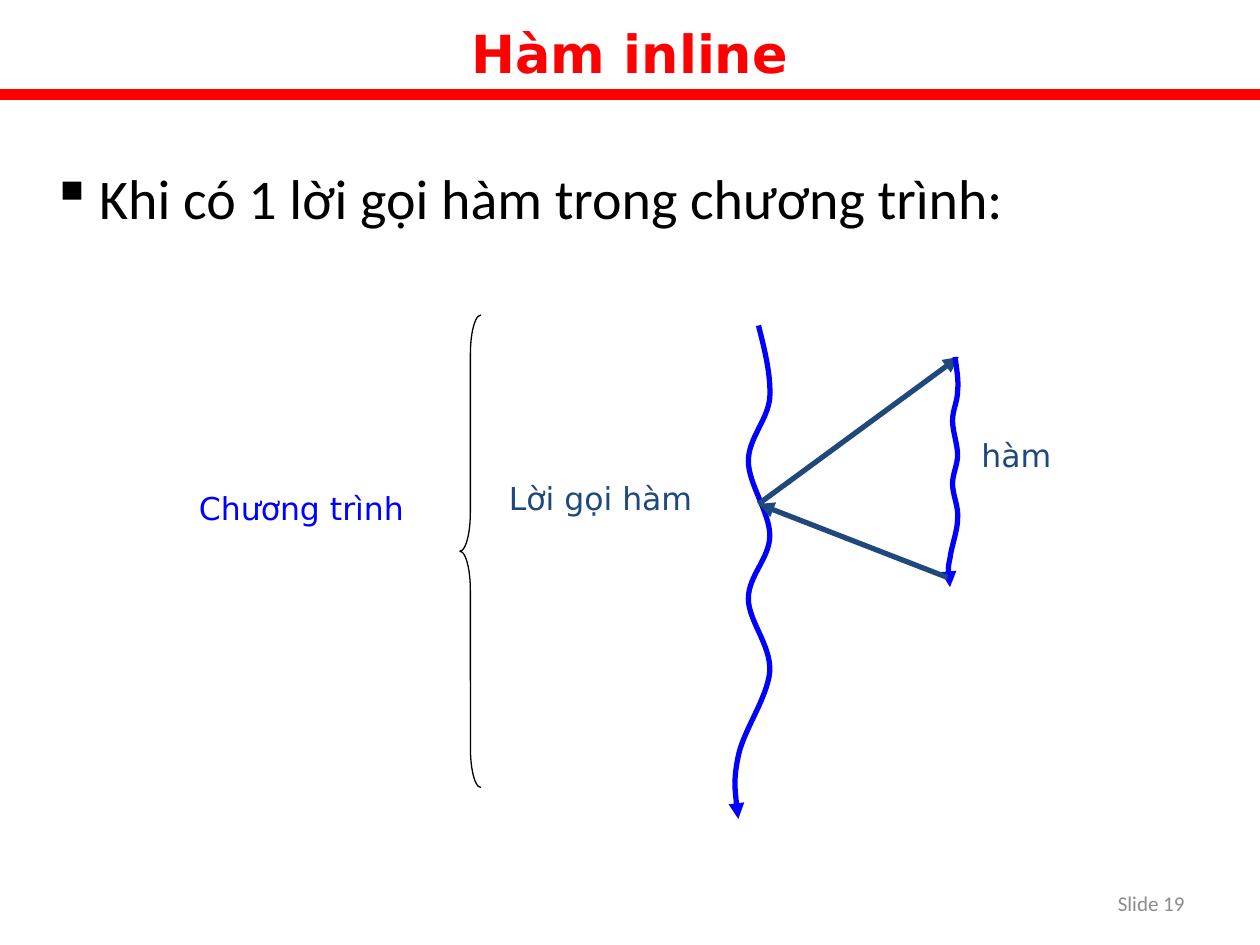
from dataclasses import dataclass

from lxml import etree
from pptx import Presentation
from pptx.dml.color import RGBColor
from pptx.enum.shapes import MSO_CONNECTOR, MSO_SHAPE
from pptx.enum.text import MSO_ANCHOR, MSO_AUTO_SIZE, PP_ALIGN
from pptx.oxml.ns import qn
from pptx.util import Inches, Pt

STRAIGHT = MSO_CONNECTOR.STRAIGHT
LEFT_BRACE = MSO_SHAPE.LEFT_BRACE
TOP, MIDDLE = MSO_ANCHOR.TOP, MSO_ANCHOR.MIDDLE
CENTER, RIGHT = PP_ALIGN.CENTER, PP_ALIGN.RIGHT
FIT_SHAPE = MSO_AUTO_SIZE.SHAPE_TO_FIT_TEXT

SLIDE_W, SLIDE_H = Inches(10), Inches(7.5)
COL, ROW = SLIDE_W / 120, SLIDE_H / 90

COLORS = {
    "title": "FF0000",
    "body": "000000",
    "flow": "0000FF",
    "call": "1F497D",
    "number": "8C8C8C",
}

TITLE_FONT = {"name": "DejaVu Sans", "size": Pt(30), "bold": True}
BODY_FONT = {"name": "Calibri", "size": Pt(32)}
LABEL_FONT = {"name": "DejaVu Sans", "size": Pt(18)}
NUMBER_FONT = {"name": "Calibri", "size": Pt(12)}

PROGRAM_FLOW = [
    (55.24, 1),
    (55.84, 3.36), (56.44, 5.76), (56.32, 7.92),
    (56.08, 10.08), (54.28, 11.76), (54.28, 13.92),
    (54.28, 16.08), (56.32, 18.84), (56.32, 21),
    (56.32, 23.16), (54.28, 24.84), (54.28, 27),
    (54.28, 29.16), (56.44, 31.44), (56.32, 33.96),
    (56.08, 36.48), (53.8, 39.6), (53.32, 42),
    (52.84, 44.28), (53.08, 46.08), (53.32, 48),
]
FUNCTION_FLOW = [
    (73.96, 4),
    (74.08, 5.04), (74.32, 6.24), (74.2, 7.2),
    (74.2, 8.28), (73.72, 9), (73.72, 10.08),
    (73.72, 11.04), (74.2, 12.36), (74.2, 13.32),
    (74.2, 14.28), (73.72, 15.12), (73.72, 16.08),
    (73.72, 17.16), (74.32, 18.24), (74.2, 19.44),
    (74.2, 20.52), (73.6, 22.08), (73.48, 23.16),
    (73.24, 24.24), (73.36, 25.08), (73.48, 25.92),
]
CALL_POINT, FUNCTION_START, FUNCTION_END = (55.24, 18), (74.32, 4), (73.24, 25)

LABELS = [
    ("Lời gọi hàm", "call", (30.28, 15, 23, 6)),
    ("hàm", "call", (75.28, 10.9, 10.1, 6)),
    ("Chương trình", "flow", (0.76, 16, 25.6, 6)),
]


@dataclass
class Box:
    col: float
    row: float
    cols: float
    rows: float

    def point(self, col, row):
        return round((self.col + col) * COL), round((self.row + row) * ROW)

    def inner(self, col, row, cols, rows):
        return Box(self.col + col, self.row + row, cols, rows)

    def frame(self):
        return *self.point(0, 0), round(self.cols * COL), round(self.rows * ROW)


def apply(target, values):
    for attribute, value in values.items():
        setattr(target, attribute, value)


def write(frame, text, font, color, align=None):
    paragraph = frame.paragraphs[0]
    paragraph.alignment = align
    run = paragraph.add_run()
    run.text = text
    apply(run.font, font)
    run.font.color.rgb = RGBColor.from_string(COLORS[color])
    return paragraph


def stroke(item, color, width, arrow=False):
    item.line.color.rgb = RGBColor.from_string(COLORS[color])
    item.line.width = Pt(width)
    properties = item.element.spPr
    if arrow:
        etree.SubElement(properties.find(qn("a:ln")), qn("a:tailEnd"), type="triangle")
    if properties.find(qn("a:effectLst")) is None:
        etree.SubElement(properties, qn("a:effectLst"))


def add_line(shapes, box, start, end, color, width, arrow=False):
    line = shapes.add_connector(STRAIGHT, *box.point(*start), *box.point(*end))
    stroke(line, color, width, arrow)


def add_wave(shapes, box, points):
    start, *rest = [box.point(*point) for point in points]
    builder = shapes.build_freeform(*start)
    builder.add_line_segments(rest, close=False)
    wave = builder.convert_to_shape()
    wave.fill.background()
    segments = list(wave.element.iter(qn("a:lnTo")))
    for first in range(0, len(segments), 3):
        triple = segments[first:first + 3]
        curve = etree.Element(qn("a:cubicBezTo"))
        triple[0].addprevious(curve)
        for segment in triple:
            curve.append(segment[0])
            segment.getparent().remove(segment)
    stroke(wave, "flow", 3, arrow=True)


def add_title(slide, box):
    title = slide.shapes.title
    apply(title, dict(zip(("left", "top", "width", "height"), box.frame())))
    apply(title.text_frame, {"vertical_anchor": TOP, "margin_top": Inches(0.08),
                             "word_wrap": True})
    heading = write(title.text_frame, "Hàm inline", TITLE_FONT, "title", CENTER)
    apply(heading, {"space_before": Pt(6), "space_after": Pt(6)})
    add_line(slide.shapes, box, (0, 8), (box.cols, 8), "title", 6)


def add_body(slide, box):
    frame = slide.shapes.add_textbox(*box.frame()).text_frame
    frame.word_wrap = True
    bullet = write(frame, "Khi có 1 lời gọi hàm trong chương trình:", BODY_FONT, "body")
    properties = bullet._p.get_or_add_pPr()
    properties.set("marL", str(Inches(0.38)))
    properties.set("indent", str(-Inches(0.38)))
    etree.SubElement(properties, qn("a:buChar"), char="▪")


def add_diagram(slide, box):
    shapes = slide.shapes.add_group_shape().shapes
    add_wave(shapes, box, PROGRAM_FLOW)
    add_line(shapes, box, CALL_POINT, FUNCTION_START, "call", 3, arrow=True)
    add_wave(shapes, box, FUNCTION_FLOW)
    add_line(shapes, box, FUNCTION_END, CALL_POINT, "call", 3, arrow=True)
    for text, color, cells in LABELS:
        frame = shapes.add_textbox(*box.inner(*cells).frame()).text_frame
        apply(frame, {"word_wrap": False, "auto_size": FIT_SHAPE})
        write(frame, text, LABEL_FONT, color)
    brace = shapes.add_shape(LEFT_BRACE, *box.inner(26.8, 0, 2, 45).frame())
    brace.adjustments[0] = 1.875
    brace.adjustments[1] = 0.5
    brace.fill.background()
    stroke(brace, "body", 0.75)


def add_slide_number(slide, box):
    frame = slide.shapes.add_textbox(*box.frame()).text_frame
    apply(frame, {"word_wrap": True, "vertical_anchor": MIDDLE})
    write(frame, "Slide 19", NUMBER_FONT, "number", RIGHT)


def main():
    deck = Presentation()
    apply(deck, {"slide_width": SLIDE_W, "slide_height": SLIDE_H})
    slide = deck.slides.add_slide(deck.slide_layouts[5])
    add_slide_number(slide, Box(89, 83, 25, 6))
    add_title(slide, Box(0, 1, 120, 8.5))
    add_body(slide, Box(3.7, 15, 111.6, 60))
    add_diagram(slide, Box(17, 30, 85.4, 48))
    deck.save("out.pptx")


if __name__ == "__main__":
    main()
